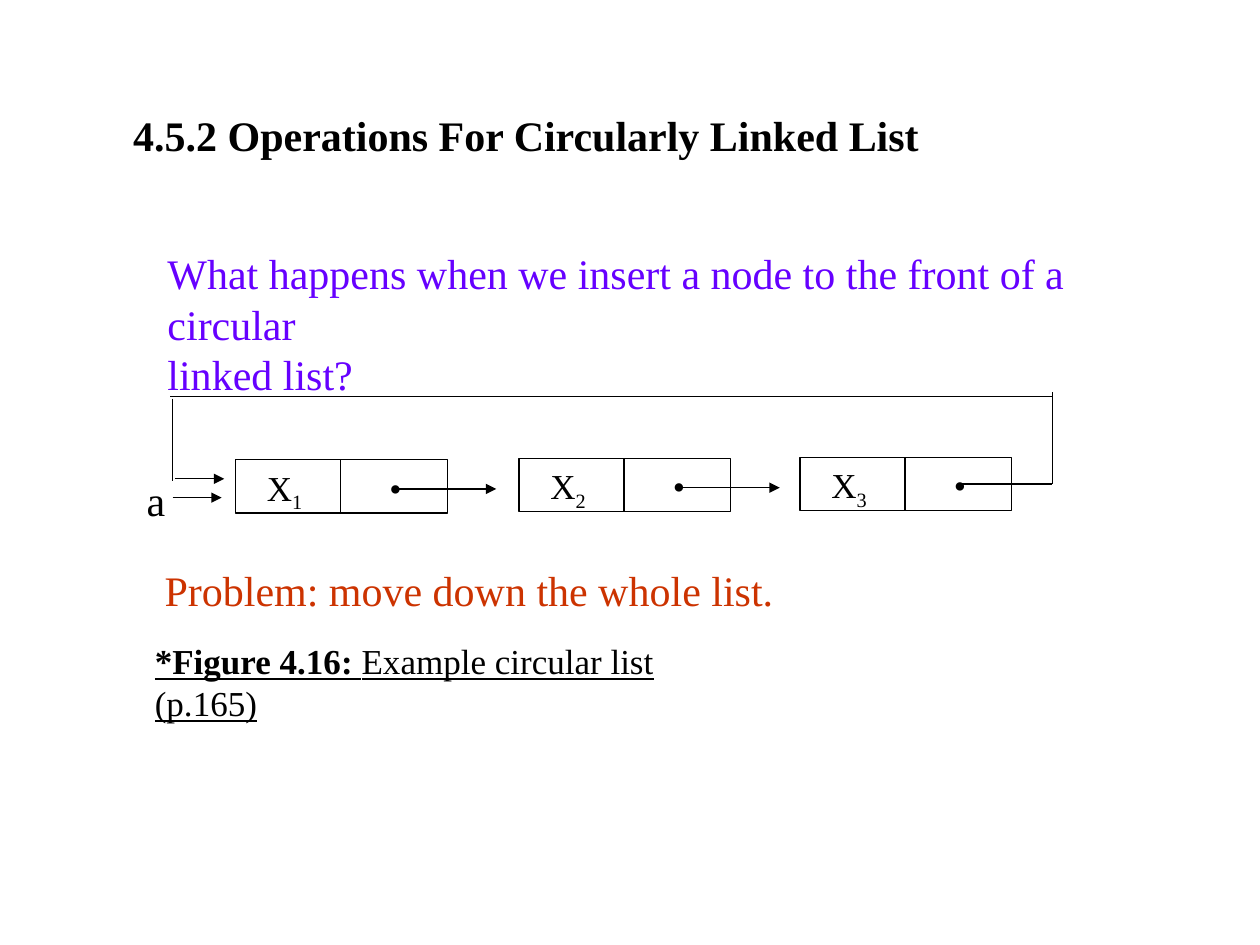
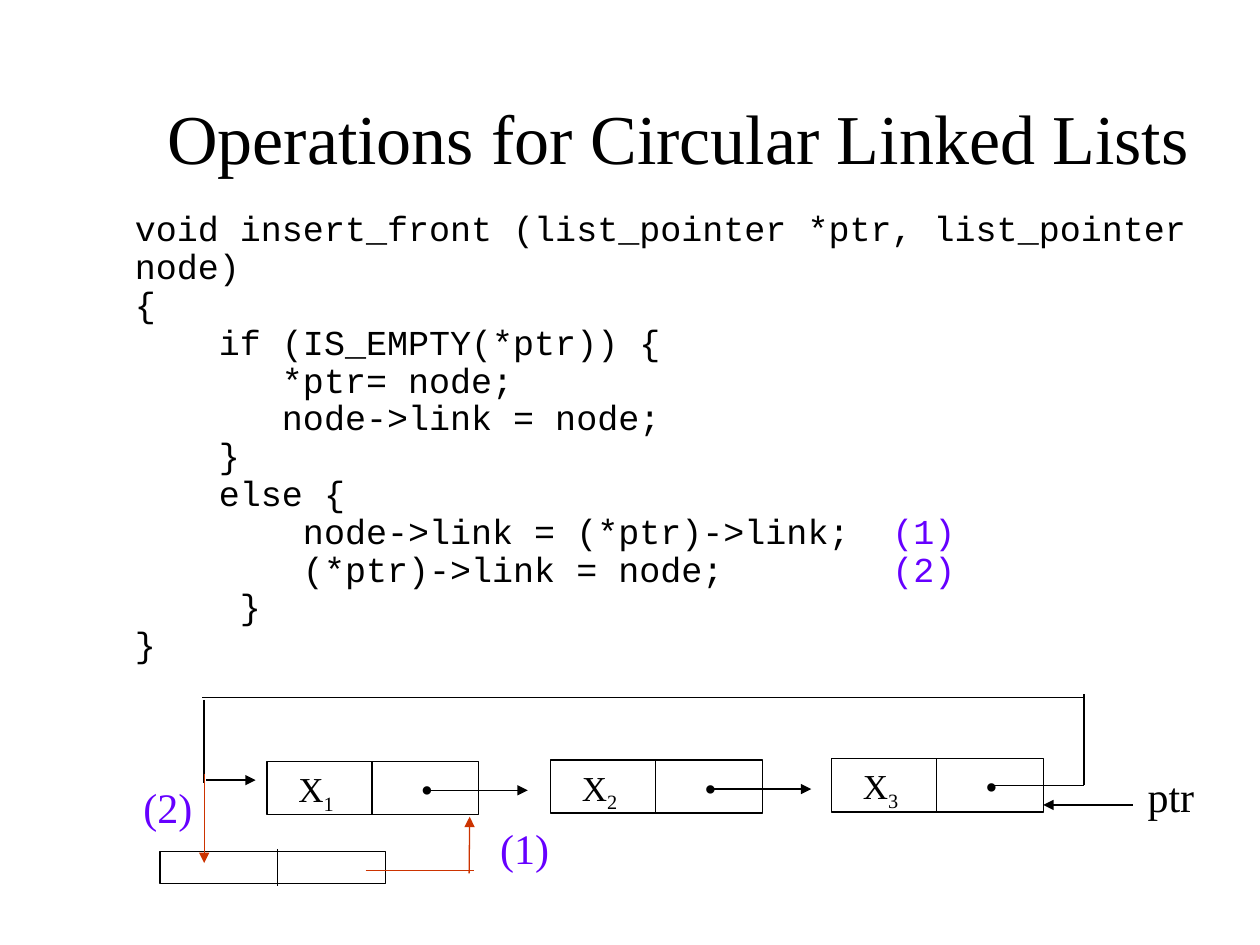
from dataclasses import dataclass

from lxml import etree
from pptx import Presentation
from pptx.dml.color import RGBColor
from pptx.enum.shapes import MSO_CONNECTOR, MSO_SHAPE
from pptx.enum.text import MSO_ANCHOR, PP_ALIGN
from pptx.oxml.ns import qn
from pptx.util import Pt

STRAIGHT = MSO_CONNECTOR.STRAIGHT
RECTANGLE = MSO_SHAPE.RECTANGLE
CENTER, LEFT = PP_ALIGN.CENTER, PP_ALIGN.LEFT
MIDDLE, TOP = MSO_ANCHOR.MIDDLE, MSO_ANCHOR.TOP


@dataclass(frozen=True)
class Theme:
    ink: RGBColor = RGBColor(0, 0, 0)
    accent: RGBColor = RGBColor(0x66, 0x00, 0xFF)
    change: RGBColor = RGBColor(0xCC, 0x33, 0x00)
    serif: str = "Times New Roman"
    mono: str = "Courier New"
    title: int = 40
    body: int = 24
    small: int = 20
    line: float = 0.75
    code_spacing: float = 0.9


THEME = Theme()

INSERT_FRONT = [
    "void insert_front (list_pointer *ptr, list_pointer node)",
    "{",
    "    if (IS_EMPTY(*ptr)) {",
    "       *ptr= node;",
    "       node->link = node;",
    "    }",
    "    else {",
    ("        node->link = (*ptr)->link;  ", "(1)"),
    ("        (*ptr)->link = node;        ", "(2)"),
    "     }",
    "}",
]


# Basic parts

def add_run(paragraph, text, size=THEME.body, color=THEME.ink, font=THEME.serif,
            bold=False, underline=False, baseline=None):
    run = paragraph.add_run()
    run.text = text
    run.font.name, run.font.size = font, Pt(size)
    run.font.color.rgb = color
    run.font.bold, run.font.underline = bold, underline
    if baseline:
        run.font._element.set("baseline", str(baseline))


def add_frame(slide, box, anchor=TOP):
    frame = slide.shapes.add_textbox(*map(Pt, box)).text_frame
    frame.word_wrap = True
    frame.vertical_anchor = anchor
    return frame


def paragraphs(frame, count):
    return [frame.paragraphs[0]] + [frame.add_paragraph() for _ in range(count - 1)]


def add_text(slide, box, *lines, align=LEFT, anchor=TOP, **style):
    frame = add_frame(slide, box, anchor)
    for paragraph, line in zip(paragraphs(frame, len(lines)), lines):
        paragraph.alignment = align
        add_run(paragraph, line, **style)


def add_line(slide, start, end, color=THEME.ink, arrow=False):
    line = slide.shapes.add_connector(STRAIGHT, *map(Pt, (*start, *end)))
    line.line.color.rgb = color
    line.line.width = Pt(THEME.line)
    if arrow:
        etree.SubElement(line.line._get_or_add_ln(), qn("a:tailEnd"), type="triangle")
    etree.SubElement(line._element.spPr, qn("a:effectLst"))


def add_cell_pair(slide, box, divider, overhang=0):
    """An outlined node split into a data cell and a link cell."""
    left, top, _, height = box
    outline = slide.shapes.add_shape(RECTANGLE, *map(Pt, box))
    outline.shadow.inherit = False
    outline.fill.background()
    outline.line.color.rgb = THEME.ink
    outline.line.width = Pt(THEME.line)
    add_line(slide, (left + divider, top - overhang),
             (left + divider, top + height + overhang))


# Circular list diagram

def add_list_node(slide, left, top, index):
    add_cell_pair(slide, (left, top, 121, 30.4), divider=60)
    content = add_frame(slide, (left + 10.8, top, 94.4, 31)).paragraphs[0]
    tabs = etree.SubElement(content._p.get_or_add_pPr(), qn("a:tabLst"))
    etree.SubElement(tabs, qn("a:tab"), pos=str(Pt(70)), algn="l")
    add_run(content, "X", THEME.small)
    add_run(content, str(index), THEME.small, baseline=-25000)
    add_run(content, "\t•", THEME.small)


def add_circular_list(slide, left, top):
    """Three nodes and the link back; left and top are those of the first node."""
    def line(start, end, arrow=False):
        add_line(slide, (left + start[0], top + start[1]),
                 (left + end[0], top + end[1]), arrow=arrow)

    node_offsets = (0, 162, 322.6)
    for index, offset in enumerate(node_offsets):
        rise = -0.7 * index
        add_list_node(slide, left + offset, top + rise, index + 1)
        if index < len(node_offsets) - 1:
            line((offset + 93, rise + 16.6), (offset + 149, rise + 16.6), arrow=True)

    # Link from the last node back to the first
    right_edge, left_edge, loop_top = 466.8, -36, -36.4
    line((414, 13.7), (right_edge, 13.7))
    line((right_edge, 13.7), (right_edge, loop_top - 2.2))
    line((right_edge, loop_top), (left_edge - 1.4, loop_top))
    line((left_edge, loop_top + 1.4), (left_edge, 12.2))
    line((left_edge + 1.4, 10.8), (left_edge + 29.5, 10.8), arrow=True)


# Slide 2 regions

def add_code(slide, box):
    frame = add_frame(slide, box)
    for paragraph, line in zip(paragraphs(frame, len(INSERT_FRONT)), INSERT_FRONT):
        code, step = (line, None) if isinstance(line, str) else line
        paragraph.line_spacing = THEME.code_spacing
        add_run(paragraph, code, THEME.small, font=THEME.mono)
        if step:
            add_run(paragraph, step, THEME.small, THEME.accent, THEME.mono)


def add_inserted_node(slide, left, top):
    """The new node with its two changed links and their step numbers."""
    add_cell_pair(slide, (left, top, 129, 18), divider=67, overhang=1.6)
    add_line(slide, (left + 176.6, top + 12.4), (left + 176.9, top - 20),
             THEME.change, arrow=True)
    add_line(slide, (left + 117.4, top + 10.8), (left + 179.3, top + 10.8), THEME.change)
    add_line(slide, (left + 25.2, top - 44.6), (left + 25.2, top + 6.5),
             THEME.change, arrow=True)
    for step, x, y in (("(1)", 187.2, -20.2), ("(2)", -16.6, -43.9)):
        add_text(slide, (left + x, top + y, 46, 36), step, color=THEME.accent)


# Slides

def build_problem_slide(slide):
    add_text(slide, (69, 59, 475, 36), "4.5.2 Operations For Circularly Linked List",
             bold=True)
    add_circular_list(slide, 134.6, 262.8)

    # Pointer a to the first node
    add_line(slide, (98.6, 284.4), (126.7, 284.4), arrow=True)
    add_text(slide, (76.7, 267.8, 30, 36), "a")

    # Caption
    caption = add_frame(slide, (81.4, 362, 355, 31)).paragraphs[0]
    add_run(caption, "*Figure 4.16: ", THEME.small, bold=True, underline=True)
    add_run(caption, "Example circular list (p.165)", THEME.small, underline=True)

    # Question, kept just above the loop line, and problem
    add_text(slide, (88.6, 138, 605.5, 65),
             "What happens when we insert a node to the front of a circular",
             "linked list?", color=THEME.accent)
    add_text(slide, (87, 319, 380, 36), "Problem: move down the whole list.",
             color=THEME.change)


def build_insert_slide(slide):
    add_text(slide, (56, 33, 663, 90), "Operations for Circular Linked Lists",
             size=THEME.title, align=CENTER, anchor=MIDDLE)
    add_code(slide, (70, 117.4, 618, 319))
    add_circular_list(slide, 152.6, 435)

    # Pointer ptr to the last node
    add_line(slide, (647.3, 460), (596.2, 460), arrow=True)
    add_text(slide, (648.7, 437, 50, 36), "ptr")
    add_inserted_node(slide, 91.5, 486.7)


def main():
    deck = Presentation()
    deck.slide_width, deck.slide_height = Pt(720), Pt(540)
    blank = deck.slide_layouts[6]
    for build in (build_problem_slide, build_insert_slide):
        build(deck.slides.add_slide(blank))
    deck.save("out.pptx")


if __name__ == "__main__":
    main()
